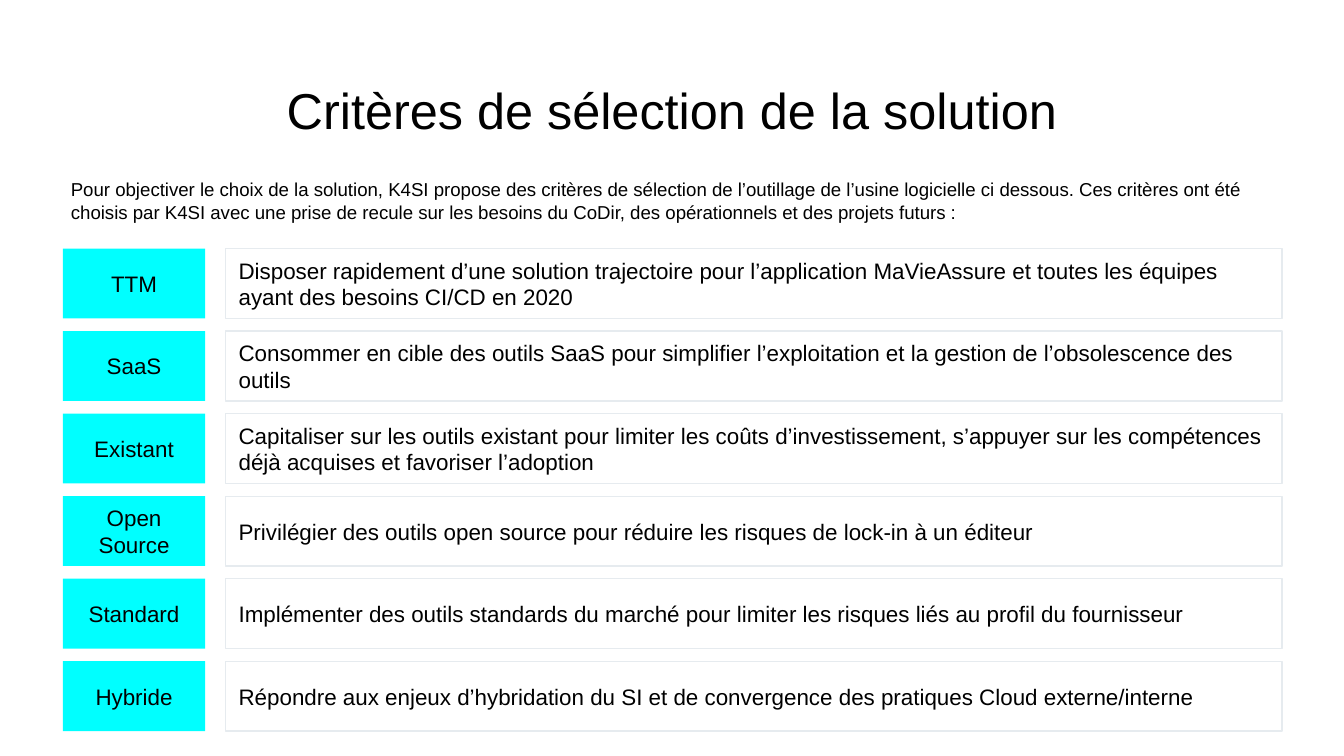
from dataclasses import dataclass

from pptx import Presentation
from pptx import util as u
from pptx.dml.color import RGBColor
from pptx.enum import shapes, text


@dataclass(frozen=True)
class Theme:
    font: str = "Arial"
    ink: str = "000000"
    label_fill: str = "00FFFF"
    border: str = "E6EBEF"
    border_width: float = 0.75
    title_size: int = 27
    intro_size: int = 10
    criterion_size: int = 12
    inset: float = 0.25


class CriteriaSlide:
    def __init__(self, slide, theme):
        self.slide = slide
        self.theme = theme

    def set_words(self, shape, words, size, align, anchor):
        frame = shape.text_frame
        frame.text = words
        frame.word_wrap = True
        frame.vertical_anchor = anchor
        frame.margin_left = frame.margin_right = u.Cm(self.theme.inset)
        frame.margin_top = frame.margin_bottom = u.Cm(self.theme.inset)
        paragraph = frame.paragraphs[0]
        paragraph.alignment = align
        for run in paragraph.runs:
            run.font.name = self.theme.font
            run.font.size = u.Pt(size)
            run.font.color.rgb = RGBColor.from_string(self.theme.ink)
        return paragraph

    def text_box(self, box, words, size, align, anchor):
        shape = self.slide.shapes.add_textbox(*map(u.Cm, box))
        return self.set_words(shape, words, size, align, anchor)

    def title(self, box, words):
        heading = self.text_box(box, words, self.theme.title_size,
                                text.PP_ALIGN.CENTER, text.MSO_ANCHOR.MIDDLE)
        heading.line_spacing = 0.9

    def intro(self, box, words):
        self.text_box(box, words, self.theme.intro_size,
                      text.PP_ALIGN.LEFT, text.MSO_ANCHOR.TOP)

    def rectangle(self, box, words, align):
        shape = self.slide.shapes.add_shape(
            shapes.MSO_SHAPE.RECTANGLE, *map(u.Cm, box))
        shape.shadow.inherit = False
        self.set_words(shape, words, self.theme.criterion_size,
                       align, text.MSO_ANCHOR.MIDDLE)
        return shape

    def label(self, box, words):
        shape = self.rectangle(box, words, text.PP_ALIGN.CENTER)
        shape.fill.solid()
        shape.fill.fore_color.rgb = RGBColor.from_string(self.theme.label_fill)
        shape.line.fill.background()

    def description(self, box, words):
        shape = self.rectangle(box, words, text.PP_ALIGN.LEFT)
        shape.fill.background()
        shape.line.color.rgb = RGBColor.from_string(self.theme.border)
        shape.line.width = u.Pt(self.theme.border_width)


TITLE = "Critères de sélection de la solution"
INTRO = (
    "Pour objectiver le choix de la solution, K4SI propose des critères de "
    "sélection de l’outillage de l’usine logicielle ci dessous. Ces critères "
    "ont été choisis par K4SI avec une prise de recule sur les besoins du "
    "CoDir, des opérationnels et des projets futurs :"
)
CRITERIA = [
    ("TTM", "Disposer rapidement d’une solution trajectoire pour l’application "
            "MaVieAssure et toutes les équipes ayant des besoins CI/CD en 2020"),
    ("SaaS", "Consommer en cible des outils SaaS pour simplifier l’exploitation "
             "et la gestion de l’obsolescence des outils"),
    ("Existant", "Capitaliser sur les outils existant pour limiter les coûts "
                 "d’investissement, s’appuyer sur les compétences déjà acquises "
                 "et favoriser l’adoption"),
    ("Open Source", "Privilégier des outils open source pour réduire les risques "
                    "de lock-in à un éditeur"),
    ("Standard", "Implémenter des outils standards du marché pour limiter les "
                 "risques liés au profil du fournisseur"),
    ("Hybride", "Répondre aux enjeux d’hybridation du SI et de convergence des "
                "pratiques Cloud externe/interne"),
]

LABEL_LEFT, LABEL_WIDTH = 1.19, 2.69
DESCRIPTION_LEFT, DESCRIPTION_WIDTH = 4.26, 19.97
FIRST_TOP, ROW_HEIGHT, ROW_GAP = 4.7, 1.32, 0.24


def main():
    deck = Presentation()
    deck.slide_width, deck.slide_height = u.Cm(25.4), u.Cm(14.29)
    page = CriteriaSlide(deck.slides.add_slide(deck.slide_layouts[6]), Theme())

    page.title((1.75, 0.76, 21.9, 2.77), TITLE)
    for row, (name, goal) in enumerate(CRITERIA):
        top = FIRST_TOP + row * (ROW_HEIGHT + ROW_GAP)
        page.label((LABEL_LEFT, top, LABEL_WIDTH, ROW_HEIGHT), name)
        page.description(
            (DESCRIPTION_LEFT, top, DESCRIPTION_WIDTH, ROW_HEIGHT), goal)
    page.intro((1.09, 3.12, 23.16, 1.32), INTRO)

    deck.save("out.pptx")


if __name__ == "__main__":
    main()
